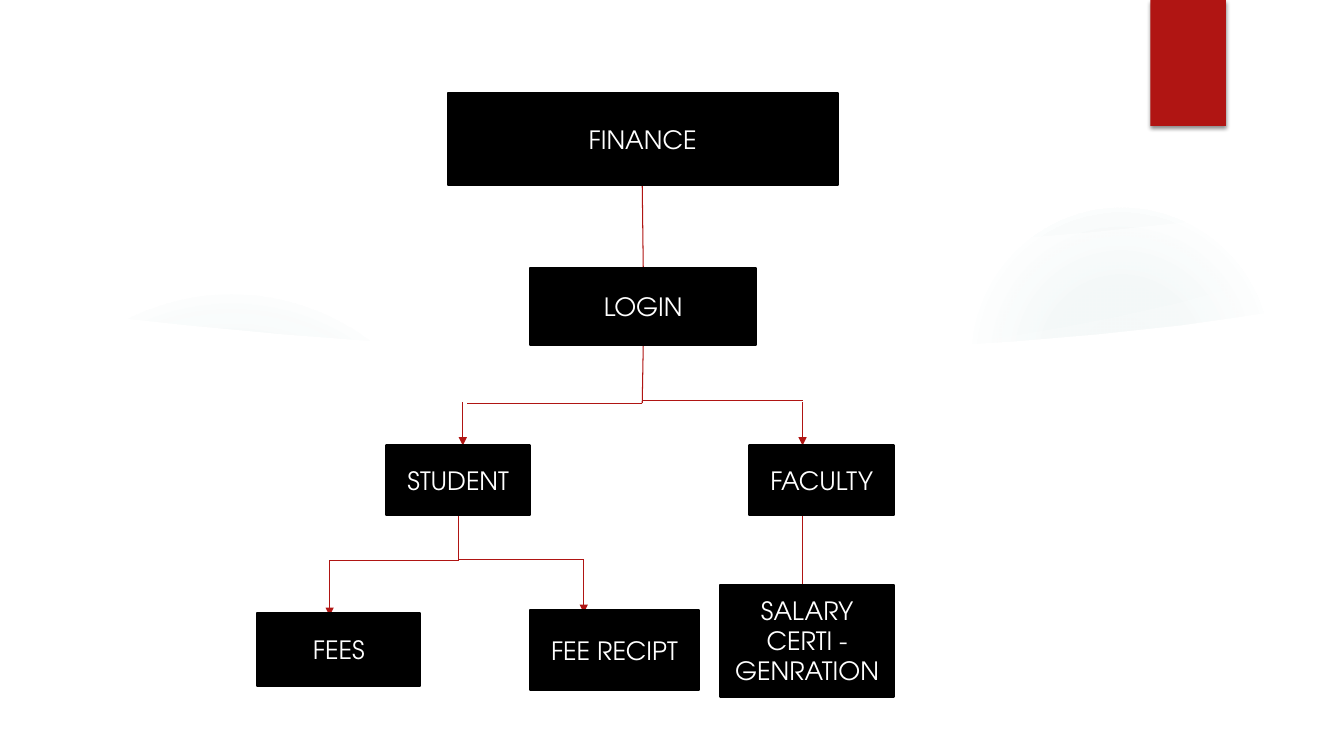
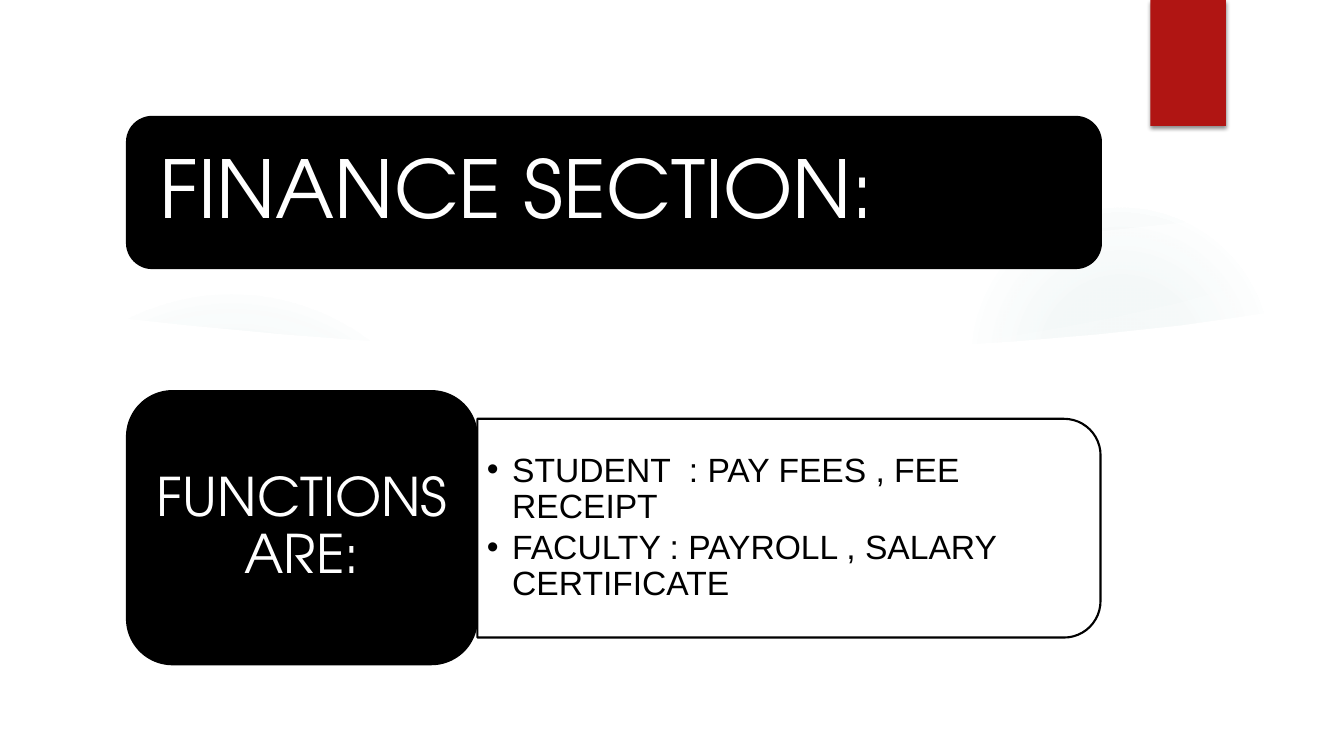
from dataclasses import dataclass

from lxml.etree import SubElement
from pptx import Presentation
from pptx.dml.color import RGBColor
from pptx.enum.shapes import MSO_CONNECTOR, MSO_SHAPE
from pptx.enum.text import MSO_ANCHOR, MSO_AUTO_SIZE, PP_ALIGN
from pptx.oxml.ns import qn
from pptx.oxml.xmlchemy import OxmlElement
from pptx.shapes.autoshape import Shape
from pptx.slide import Slide, SlideMaster
from pptx.text.text import TextFrame
from pptx.util import Inches, Pt

Point = tuple[float, float]
Box = tuple[float, float, float, float]


# Theme
@dataclass(frozen=True)
class Theme:
    black: str = "000000"
    white: str = "FFFFFF"
    red: str = "B01513"
    teal: str = "5F9C9D"
    display_font: str = "TeX Gyre Adventor"
    list_font: str = "Arial"
    title_size: float = 57
    heading_size: float = 38
    list_size: float = 24
    node_size: float = 18
    outline: float = 1.5
    link: float = 0.75
    line_spacing: float = 0.9


THEME = Theme()
WIDTH, HEIGHT = 13.33, 7.5


@dataclass(frozen=True)
class Glow:
    box: Box
    stops: tuple[tuple[int, int], ...]  # position and opacity, in percent


@dataclass(frozen=True)
class Horizon:
    top: float
    glows: tuple[Glow, ...]


@dataclass(frozen=True)
class Node:
    label: str
    box: Box


@dataclass(frozen=True)
class Link:
    start: Point
    end: Point
    arrow: bool = False


# Backdrop: glows that set behind two white horizons
RIGHT_GLOW = Glow((9.58, 2, 3.08, 3.08), ((0, 7), (36, 6), (69, 0)))
LEFT_GLOW = Glow((0, 2.92, 4.58, 4.58), ((0, 11), (36, 10), (75, 0)))
HORIZONS = (
    Horizon(2.04, (RIGHT_GLOW,)),
    Horizon(3.06, (RIGHT_GLOW, LEFT_GLOW)),
)
# Outlines measured down from the top of a horizon
GROUND: tuple[Point, ...] = (
    (0.5, 0), (1.13, 0.09), (1.87, 0.17), (2.83, 0.26), (4.01, 0.35),
    (5.11, 0.4), (6.31, 0.44), (7.33, 0.44), (8.39, 0.42), (9.21, 0.38),
    (10.04, 0.33), (10.87, 0.26), (11.71, 0.17), (12.27, 0.09), (12.84, 0),
)
HAZE: tuple[Point, ...] = (
    (9.34, 0.44), (12.89, 0.08), (12.83, -0.4), (12.25, -0.21), (11.67, -0.05),
    (11.09, 0.08), (10.53, 0.19), (9.99, 0.28), (9.3, 0.38),
)
GROUND_BOTTOM = 7.0
FRAME_BORDER = 0.52
RIBBON: Box = (11.41, 0, 0.75, 1.25)

# Finance chart
NODES = (
    Node("FINANCE", (4.44, 0.92, 3.87, 0.92)),
    Node("LOGIN", (5.26, 2.66, 2.24, 0.76)),
    Node("STUDENT", (3.83, 4.42, 1.43, 0.69)),
    Node("FACULTY", (7.43, 4.42, 1.44, 0.69)),
    Node("FEES", (2.55, 6.08, 1.62, 0.73)),
    Node("FEE RECIPT", (5.26, 6.05, 1.67, 0.8)),
    Node("SALARY CERTI - GENRATION", (7.14, 5.8, 1.73, 1.11)),
)
LINKS = (
    Link((6.37, 1.83), (6.38, 2.66)),
    Link((6.38, 3.42), (6.37, 4)),
    Link((6.37, 3.97), (7.96, 3.97)),
    Link((6.37, 4), (4.63, 4)),
    Link((4.59, 3.99), (4.59, 4.42), arrow=True),
    Link((7.96, 3.99), (7.96, 4.42), arrow=True),
    Link((4.55, 5.11), (4.55, 5.56)),
    Link((4.55, 5.55), (5.79, 5.55)),
    Link((4.55, 5.56), (3.27, 5.56)),
    Link((5.79, 5.55), (5.79, 6.08), arrow=True),
    Link((3.27, 5.56), (3.27, 6.11), arrow=True),
    Link((7.96, 5.11), (7.96, 5.8)),
)

# Finance section
SECTION_TITLE = "FINANCE SECTION:"
FUNCTIONS_HEADING = "FUNCTIONS ARE:"
FUNCTIONS = (
    "STUDENT  : PAY FEES , FEE RECEIPT",
    "FACULTY : PAYROLL , SALARY CERTIFICATE",
)


# Drawing helpers
def rgb(color: str) -> RGBColor:
    return RGBColor.from_string(color)


def paint(shape: Shape, fill: str, outline: str | None = None) -> None:
    shape.shadow.inherit = False
    shape.fill.solid()
    shape.fill.fore_color.rgb = rgb(fill)
    if outline is None:
        shape.line.fill.background()
    else:
        shape.line.color.rgb = rgb(outline)
        shape.line.width = Pt(THEME.outline)


def add_panel(slide: Slide, kind: MSO_SHAPE, box: Box, fill: str,
              outline: str | None = None) -> Shape:
    panel = slide.shapes.add_shape(kind, *map(Inches, box))
    paint(panel, fill, outline)
    return panel


def add_outline(slide: Slide, points: list[Point], fill: str) -> Shape:
    start, *rest = [(Inches(x), Inches(y)) for x, y in points]
    builder = slide.shapes.build_freeform(*start)
    builder.add_line_segments(rest, close=True)
    outline = builder.convert_to_shape()
    paint(outline, fill)
    return outline


def write(frame: TextFrame, lines: tuple[str, ...], size: float, color: str,
          font: str = THEME.display_font, align: PP_ALIGN = PP_ALIGN.CENTER,
          spacing: float = 1.0, after: float = 0,
          insets: Point = (0.1, 0.05)) -> None:
    frame.word_wrap = True
    frame.auto_size = MSO_AUTO_SIZE.NONE
    frame.vertical_anchor = MSO_ANCHOR.MIDDLE
    frame.margin_left = frame.margin_right = Inches(insets[0])
    frame.margin_top = frame.margin_bottom = Inches(insets[1])
    for index, line in enumerate(lines):
        paragraph = frame.add_paragraph() if index else frame.paragraphs[0]
        paragraph.alignment = align
        paragraph.line_spacing = spacing
        paragraph.space_before = Pt(0)
        paragraph.space_after = Pt(after)
        run = paragraph.add_run()
        run.text = line
        run.font.name = font
        run.font.size = Pt(size)
        run.font.color.rgb = rgb(color)


def place_on_top(slide: Slide, placeholder: Shape, box: Box) -> None:
    placeholder.left, placeholder.top, placeholder.width, placeholder.height = map(Inches, box)
    slide.shapes.element.append(placeholder.element)


def add_glow(slide: Slide, glow: Glow) -> None:
    ellipse = add_panel(slide, MSO_SHAPE.OVAL, glow.box, THEME.teal)
    gradient = OxmlElement("a:gradFill")
    stops = SubElement(gradient, qn("a:gsLst"))
    for position, opacity in glow.stops:
        stop = SubElement(stops, qn("a:gs"), pos=str(position * 1000))
        tint = SubElement(stop, qn("a:srgbClr"), val=THEME.teal)
        SubElement(tint, qn("a:alpha"), val=str(opacity * 1000))
    circle = SubElement(gradient, qn("a:path"))
    circle.set("path", "circle")
    SubElement(circle, qn("a:fillToRect"), l="50000", t="50000", r="50000", b="50000")
    properties = ellipse.element.spPr
    properties.replace(properties.find(qn("a:solidFill")), gradient)


def add_ribbon(slide: Slide) -> None:
    ribbon = add_panel(slide, MSO_SHAPE.RECTANGLE, RIBBON, THEME.red)
    effects = ribbon.element.spPr.find(qn("a:effectLst"))
    shadow = SubElement(effects, qn("a:outerShdw"), blurRad=str(Pt(3)),
                        dist=str(Pt(2)), dir="5400000", rotWithShape="0")
    shade = SubElement(shadow, qn("a:srgbClr"), val=THEME.black)
    SubElement(shade, qn("a:alpha"), val="45000")


def draw_backdrop(slide: Slide) -> None:
    for horizon in HORIZONS:
        for glow in horizon.glows:
            add_glow(slide, glow)
        ground = [(x, horizon.top + drop) for x, drop in GROUND]
        corners = [(GROUND[-1][0], GROUND_BOTTOM), (GROUND[0][0], GROUND_BOTTOM)]
        add_outline(slide, ground + corners, THEME.white)
        haze = add_outline(slide, [(x, horizon.top + drop) for x, drop in HAZE], THEME.white)
        tint = haze.element.spPr.find(qn("a:solidFill"))[0]
        SubElement(tint, qn("a:alpha"), val="20000")
    frame = add_panel(slide, MSO_SHAPE.FRAME, (0, 0, WIDTH, HEIGHT), THEME.white)
    frame.adjustments[0] = FRAME_BORDER / HEIGHT
    add_ribbon(slide)


def move_to_master(slide: Slide, master: SlideMaster) -> None:
    for index, shape in enumerate(list(slide.shapes)):
        shape.element.nvSpPr.cNvPr.set("id", str(100 + index))
        master.shapes.element.insert(2 + index, shape.element)


def add_link(slide: Slide, link: Link) -> None:
    connector = slide.shapes.add_connector(
        MSO_CONNECTOR.STRAIGHT, *map(Inches, link.start + link.end))
    connector.line.color.rgb = rgb(THEME.red)
    connector.line.width = Pt(THEME.link)
    if link.arrow:
        SubElement(connector.line._get_or_add_ln(), qn("a:tailEnd"), type="triangle")
    SubElement(connector.element.spPr, qn("a:effectLst"))


# Slides
def draw_finance_chart(slide: Slide) -> None:
    for link in LINKS:
        add_link(slide, link)
    for node in NODES:
        panel = add_panel(slide, MSO_SHAPE.RECTANGLE, node.box, THEME.black, THEME.black)
        write(panel.text_frame, (node.label,), THEME.node_size, THEME.white)


def draw_finance_section(slide: Slide) -> None:
    title, functions = slide.placeholders

    # Title band
    add_panel(slide, MSO_SHAPE.ROUNDED_RECTANGLE, (1.26, 1.16, 9.66, 1.5),
              THEME.black, THEME.black)
    place_on_top(slide, title, (1.34, 1.24, 9.51, 1.35))
    write(title.text_frame, (SECTION_TITLE,), THEME.title_size, THEME.white,
          align=PP_ALIGN.LEFT, spacing=THEME.line_spacing, insets=(0.24, 0.24))

    # List of functions
    list_panel = add_panel(slide, MSO_SHAPE.ROUND_2_SAME_RECTANGLE,
                           (6.74, 2.15, 2.17, 6.18), THEME.white, THEME.black)
    list_panel.rotation = 90
    place_on_top(slide, functions, (4.73, 4.26, 6.07, 1.96))
    write(functions.text_frame, FUNCTIONS, THEME.list_size, THEME.black, THEME.list_font,
          PP_ALIGN.LEFT, THEME.line_spacing, after=0.15 * THEME.list_size)
    for paragraph in functions.text_frame.paragraphs:
        properties = paragraph._p.get_or_add_pPr()
        properties.set("marL", str(Inches(0.25)))
        properties.set("indent", str(Inches(-0.25)))

    # Heading beside the list
    heading = add_panel(slide, MSO_SHAPE.ROUNDED_RECTANGLE, (1.26, 3.88, 3.47, 2.71),
                        THEME.black, THEME.black)
    write(heading.text_frame, (FUNCTIONS_HEADING,), THEME.heading_size, THEME.white,
          spacing=THEME.line_spacing, insets=(0.16, 0.08))


def main() -> None:
    deck = Presentation()
    deck.slide_width, deck.slide_height = Inches(WIDTH), Inches(HEIGHT)
    chart_slide = deck.slides.add_slide(deck.slide_layouts.get_by_name("Blank"))
    draw_backdrop(chart_slide)
    move_to_master(chart_slide, deck.slide_master)
    draw_finance_chart(chart_slide)
    draw_finance_section(
        deck.slides.add_slide(deck.slide_layouts.get_by_name("Title and Content")))
    deck.save("out.pptx")


if __name__ == "__main__":
    main()
